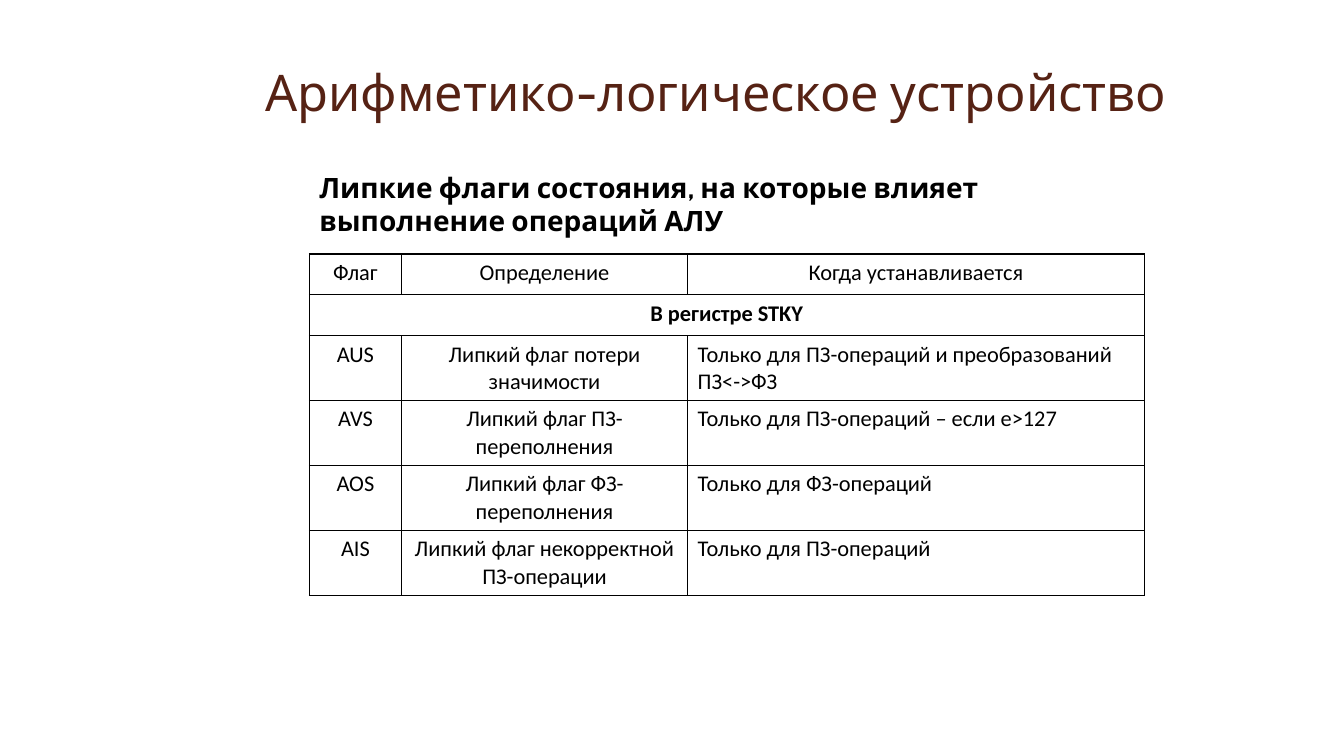
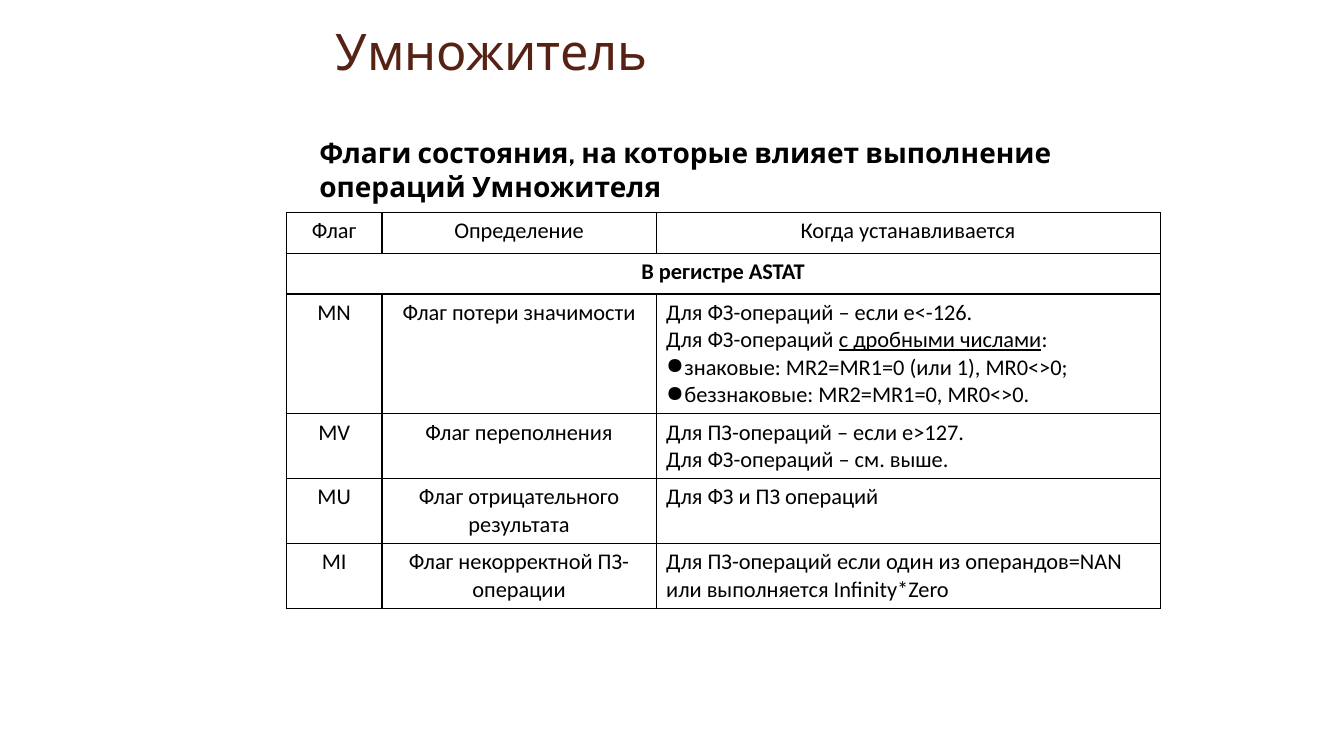
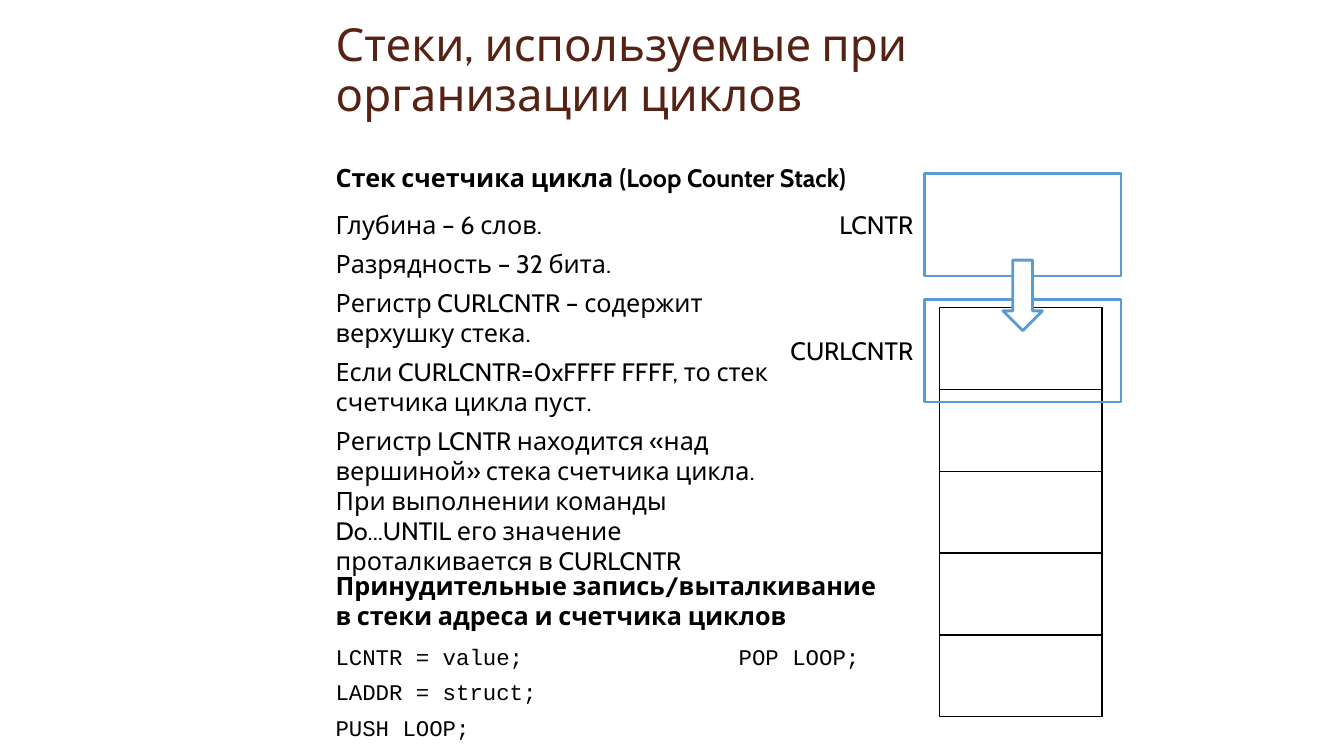
import pptx
import pptx.util
import pptx.dml.color
import pptx.enum.shapes
import pptx.enum.text
import pptx.oxml.ns
import lxml.etree

Pt = pptx.util.Pt
ALIGN = pptx.enum.text.PP_ALIGN
ANCHOR = pptx.enum.text.MSO_ANCHOR
SHAPE = pptx.enum.shapes.MSO_SHAPE
qn = pptx.oxml.ns.qn

COLORS = {"title": "562214", "text": "000000", "accent": "5B9BD5", "paper": "FFFFFF"}
FONTS = {
    "title": {"name": "Cabin", "size": Pt(36), "color": "title"},
    "long title": {"name": "Cabin", "size": Pt(32.5), "color": "title"},
    "heading": {"name": "Cabin", "size": Pt(20), "bold": True, "color": "text"},
    "subheading": {"name": "Cabin", "size": Pt(18), "bold": True, "color": "text"},
    "body": {"name": "Cabin", "size": Pt(18), "color": "text"},
    "cell": {"name": "Calibri", "size": Pt(16), "color": "text"},
    "band": {"name": "Calibri", "size": Pt(16), "bold": True, "color": "text"},
    "code": {"name": "Courier New", "size": Pt(16), "color": "text"},
}


def write(frame, lines, style, align=ALIGN.LEFT, gap=0, spacing=1.0, anchor=ANCHOR.TOP):
    """Fill a text frame, one paragraph a line; text between bars is underlined."""
    frame.word_wrap = True
    frame.auto_size = pptx.enum.text.MSO_AUTO_SIZE.NONE
    frame.vertical_anchor = anchor
    for index, line in enumerate(lines):
        para = frame.add_paragraph() if index else frame.paragraphs[0]
        layout = {"alignment": align, "line_spacing": spacing,
                  "space_before": Pt(gap if index else 0)}
        for name, value in layout.items():
            setattr(para, name, value)
        for part, text in enumerate(line.split("|")):
            span = para.add_run()
            span.text = text
            for name, value in FONTS[style].items():
                if name == "color":
                    span.font.color.rgb = pptx.dml.color.RGBColor.from_string(COLORS[value])
                else:
                    setattr(span.font, name, value)
            if part % 2:
                span.font.underline = True


def add_grid(page, left, top, widths, heights):
    """Add an unfilled table with thin black borders."""
    grid = page.shapes.add_table(len(heights), len(widths), Pt(left), Pt(top),
                                 Pt(sum(widths)), Pt(sum(heights))).table
    grid.first_row = grid.horz_banding = False
    for column, width in zip(grid.columns, widths):
        column.width = Pt(width)
    for row, height in zip(grid.rows, heights):
        row.height = Pt(height)
    for cell in grid.iter_cells():
        properties = cell._tc.get_or_add_tcPr()
        for side in ("a:lnL", "a:lnR", "a:lnT", "a:lnB"):
            border = lxml.etree.SubElement(properties, qn(side), w=str(Pt(1)))
            fill = lxml.etree.SubElement(border, qn("a:solidFill"))
            lxml.etree.SubElement(fill, qn("a:srgbClr"), val=COLORS["text"])
        cell.fill.background()
    return grid


deck = pptx.Presentation()
deck.slide_width, deck.slide_height = Pt(960), Pt(540)
CONTENT, TITLE_ONLY = deck.slide_layouts[1], deck.slide_layouts[5]

# Title of each slide: layout, text, font style, box
titles = [
    (TITLE_ONLY, "Арифметико-логическое устройство", "title", (182.2, 34.6, 689, 56.2)),
    (TITLE_ONLY, "Умножитель", "title", (232.6, 11.5, 583.2, 50.4)),
    (CONTENT, "Стеки, используемые при организации циклов", "long title",
     (232.6, 11.5, 583.2, 78.5)),
]
pages = []
for layout, text, style, place in titles:
    page = deck.slides.add_slide(layout)
    title = page.shapes.title
    title.left, title.top, title.width, title.height = map(Pt, place)
    write(title.text_frame, [text], style, spacing=0.9, anchor=ANCHOR.BOTTOM)
    pages.append(page)

# Flag tables: each row is flag, definition, condition lines
flag_tables = [
    {
        "heading": "Липкие флаги состояния, на которые влияет выполнение операций АЛУ",
        "heading top": 118.1, "left": 221, "top": 181.4,
        "widths": (65.8, 204.4, 326.2), "register": "В регистре STKY",
        "flags": [
            ("AUS", "Липкий флаг потери значимости",
             ["Только для ПЗ-операций и преобразований ПЗ<->ФЗ"]),
            ("AVS", "Липкий флаг ПЗ-переполнения", ["Только для ПЗ-операций – если e>127"]),
            ("AOS", "Липкий флаг ФЗ-переполнения", ["Только для ФЗ-операций"]),
            ("AIS", "Липкий флаг некорректной ПЗ-операции", ["Только для ПЗ-операций"]),
        ],
    },
    {
        "heading": "Флаги состояния, на которые влияет выполнение операций Умножителя",
        "heading top": 93.6, "left": 204.5, "top": 151.6,
        "widths": (68.4, 195.8, 360), "register": "В регистре ASTAT",
        "flags": [
            ("MN", "Флаг потери значимости",
             ["Для ФЗ-операций – если e<-126.",
              "Для ФЗ-операций |с дробными числами|:",
              "● знаковые: MR2=MR1=0 (или 1), MR0<>0;",
              "● беззнаковые: MR2=MR1=0, MR0<>0."]),
            ("MV", "Флаг переполнения",
             ["Для ПЗ-операций – если e>127.", "Для ФЗ-операций – см. выше."]),
            ("MU", "Флаг отрицательного результата", ["Для ФЗ и ПЗ операций"]),
            ("MI", "Флаг некорректной ПЗ-операции",
             ["Для ПЗ-операций если один из операндов=NAN или выполняется Infinity*Zero"]),
        ],
    },
]
for page, content in zip(pages, flag_tables):
    heading = page.shapes.add_textbox(Pt(221), Pt(content["heading top"]), Pt(590.4), Pt(55.4))
    write(heading.text_frame, [content["heading"]], "heading")

    heights = [29.2, 29.2]
    for flag, definition, conditions in content["flags"]:
        heights.append(7.2 + 19.5 * max(2, len(conditions)))
    grid = add_grid(page, content["left"], content["top"], content["widths"], heights)

    for column, label in enumerate(("Флаг", "Определение", "Когда устанавливается")):
        write(grid.cell(0, column).text_frame, [label], "cell", ALIGN.CENTER)
    grid.cell(1, 0).merge(grid.cell(1, 2))
    write(grid.cell(1, 0).text_frame, [content["register"]], "band", ALIGN.CENTER)

    for row, (flag, definition, conditions) in enumerate(content["flags"], start=2):
        write(grid.cell(row, 0).text_frame, [flag], "cell", ALIGN.CENTER)
        write(grid.cell(row, 1).text_frame, [definition], "cell", ALIGN.CENTER)
        frame = grid.cell(row, 2).text_frame
        write(frame, [line.removeprefix("● ") for line in conditions], "cell")
        for para, line in zip(frame.paragraphs, conditions):
            if line.startswith("●"):
                properties = para._p.get_or_add_pPr()
                properties.set("marL", str(Pt(13)))
                properties.set("indent", str(Pt(-13)))
                lxml.etree.SubElement(properties, qn("a:buChar"), char="●")

# Loop counter stack
page = pages[2]
body = page.placeholders[1]
body.left, body.top, body.width, body.height = map(Pt, (232.6, 146.2, 326.2, 249.8))
write(body.text_frame, [
    "Глубина – 6 слов.",
    "Разрядность – 32 бита.",
    "Регистр CURLCNTR – содержит верхушку стека.",
    "Если CURLCNTR=0xFFFF FFFF, то стек счетчика цикла пуст.",
    "Регистр LCNTR находится «над вершиной» стека счетчика цикла. "
    "При выполнении команды Do...UNTIL его значение проталкивается в CURLCNTR",
], "body", gap=6)
for para in body.text_frame.paragraphs:
    properties = para._p.get_or_add_pPr()
    properties.set("marL", "0")
    properties.set("indent", "0")
    lxml.etree.SubElement(properties, qn("a:buNone"))

add_grid(page, 671, 219.6, [116.2], [58.5] * 5)

# Preset shapes, back to front: kind, box, fill
for kind, place, fill in [
    (SHAPE.RECTANGLE, (660.2, 213.8, 140.6, 73.4), None),
    (SHAPE.RECTANGLE, (660.2, 123.8, 140.6, 73.4), None),
    (SHAPE.DOWN_ARROW, (716.4, 185.8, 28.2, 50.4), "paper"),
]:
    shape = page.shapes.add_shape(kind, *map(Pt, place))
    shape.shadow.inherit = False
    shape.line.color.rgb = pptx.dml.color.RGBColor.from_string(COLORS["accent"])
    shape.line.width = Pt(2)
    if fill:
        shape.fill.solid()
        shape.fill.fore_color.rgb = pptx.dml.color.RGBColor.from_string(COLORS[fill])
    else:
        shape.fill.background()

# Text boxes: box, lines, font style, alignment, gap
for place, lines, style, align, gap in [
    ((232.6, 112.3, 562.3, 28.8), ["Стек счетчика цикла (Loop Counter Stack)"],
     "subheading", ALIGN.LEFT, 0),
    ((232.6, 403.9, 410.4, 51.1),
     ["Принудительные запись/выталкивание в стеки адреса и счетчика циклов"],
     "subheading", ALIGN.LEFT, 0),
    ((232.6, 455.8, 421.9, 77.8),
     ["LCNTR = value;\tPOP LOOP;", "LADDR = struct;", "PUSH LOOP;"],
     "code", ALIGN.LEFT, 6),
    ((547.2, 236.2, 112.3, 28.8), ["CURLCNTR"], "body", ALIGN.RIGHT, 0),
    ((547.2, 146.2, 112.3, 28.8), ["LCNTR"], "body", ALIGN.RIGHT, 0),
]:
    box = page.shapes.add_textbox(*map(Pt, place))
    write(box.text_frame, lines, style, align, gap)
    if style == "code":
        properties = box.text_frame.paragraphs[0]._p.get_or_add_pPr()
        stops = lxml.etree.SubElement(properties, qn("a:tabLst"))
        lxml.etree.SubElement(stops, qn("a:tab"), pos=str(Pt(288)), algn="l")

deck.save("out.pptx")
